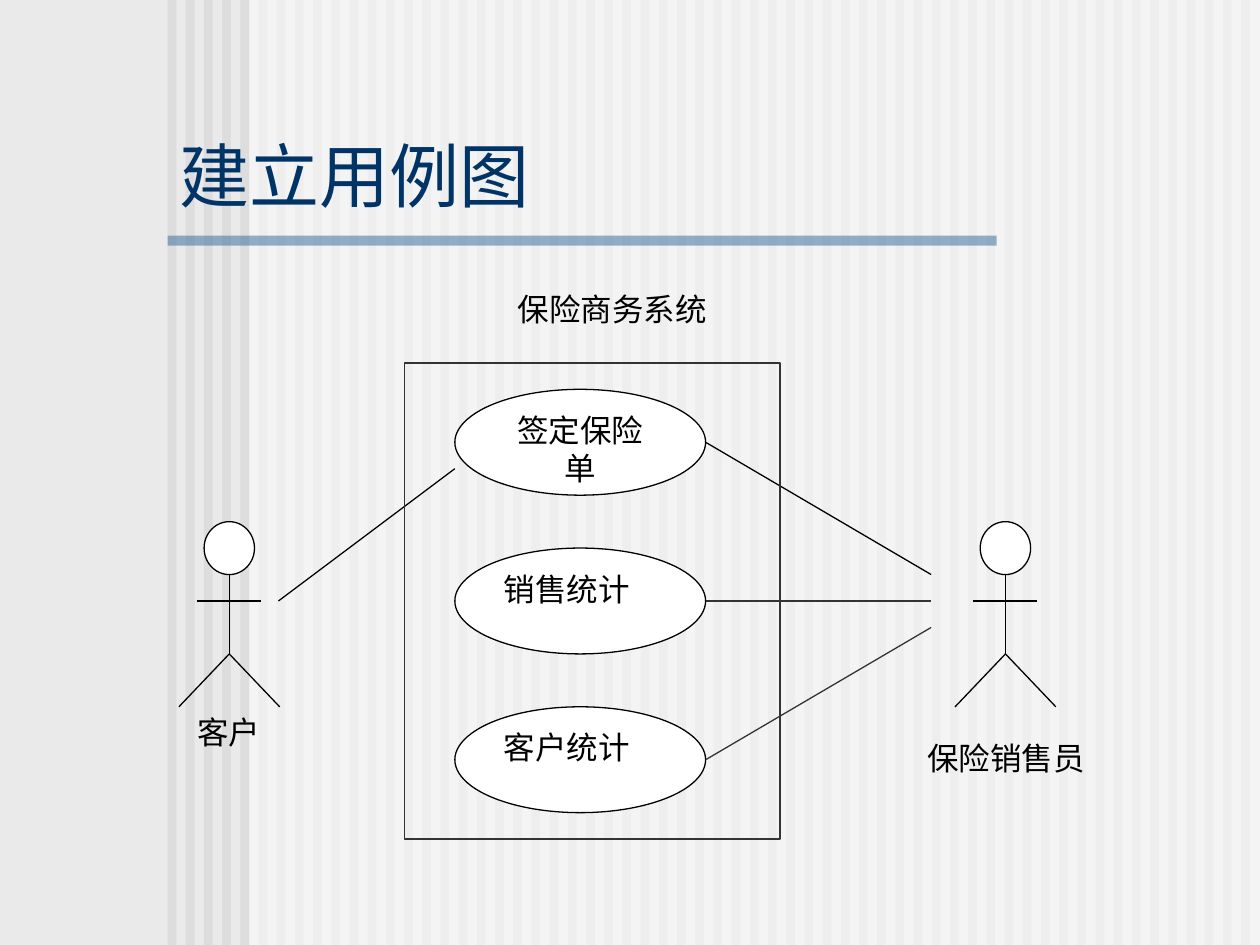
import pptx
import pptx.dml.color
import pptx.enum.shapes
import pptx.enum.text
import pptx.oxml.ns
import pptx.util
from lxml import etree

Inches = pptx.util.Inches
RGBColor = pptx.dml.color.RGBColor
Kind = pptx.enum.shapes.MSO_SHAPE
Align = pptx.enum.text.PP_ALIGN
Anchor = pptx.enum.text.MSO_ANCHOR
qn = pptx.oxml.ns.qn

BLACK = RGBColor(0x00, 0x00, 0x00)
WHITE = RGBColor(0xFF, 0xFF, 0xFF)
GREY = RGBColor(0x33, 0x33, 0x33)
PALE = RGBColor(0xEA, 0xEA, 0xEA)
STRIPE = RGBColor(0xDD, 0xDD, 0xDD)
BLUE = RGBColor(0x33, 0x66, 0x99)
NAVY = RGBColor(0x00, 0x33, 0x66)

TITLE = "建立用例图"
SYSTEM = "保险商务系统"
FRAME = (3.21, 2.88, 2.98, 3.78)
CASES = [
    ("签定保险单", Align.CENTER),
    ("销售统计", Align.JUSTIFY),
    ("客户统计", Align.JUSTIFY),
]
ACTORS = [  # name, centre, label box
    ("客户", 1.82, (1.22, 5.61, 1.19, 0.63)),
    ("保险销售员", 7.98, (7.19, 5.82, 1.59, 0.63)),
]
LIMBS = [  # offsets from the actor's centre, heights on the slide
    (-0.26, 4.77, 0.25, 4.77),
    (0, 4.56, 0, 5.19),
    (0, 5.19, -0.4, 5.61),
    (0, 5.19, 0.4, 5.61),
]
LINKS = [
    (2.21, 4.77, 3.61, 3.72, BLACK),
    (5.6, 3.51, 7.39, 4.56, BLACK),
    (5.6, 4.77, 7.39, 4.77, GREY),
    (5.6, 6.03, 7.39, 4.98, GREY),
]
STRIPES, FIRST, LAST = 60, 1.33, 9.85

BODY = {"size": pptx.util.Pt(18), "name": "Times New Roman", "bold": False}
HEAD = {"size": pptx.util.Pt(40), "name": "Arial", "bold": False}

deck = pptx.Presentation()
deck.slide_width, deck.slide_height = Inches(10), Inches(7.5)
slide = deck.slides.add_slide(deck.slide_layouts[6])
slide.background.fill.solid()
slide.background.fill.fore_color.rgb = PALE


def draw(kind, box, fill=None, line=None, alpha=None):
    """Add a preset shape; alpha is the fill's opacity in percent."""
    shape = slide.shapes.add_shape(kind, *map(Inches, box))
    shape.shadow.inherit = False
    if fill is None:
        shape.fill.background()
    else:
        shape.fill.solid()
        shape.fill.fore_color.rgb = fill
    if alpha:
        tint = shape.fill._xPr.find(".//" + qn("a:srgbClr"))
        etree.SubElement(tint, qn("a:alpha"), val=str(alpha * 1000))
    if line is None:
        shape.line.fill.background()
    else:
        shape.line.color.rgb = line
        shape.line.width = pptx.util.Pt(0.75)
    return shape


def link(x1, y1, x2, y2, color):
    line = slide.shapes.add_connector(
        pptx.enum.shapes.MSO_CONNECTOR.STRAIGHT, *map(Inches, (x1, y1, x2, y2)))
    line.line.color.rgb = color
    line.line.width = pptx.util.Pt(0.75)
    etree.SubElement(line._element.spPr, qn("a:effectLst"))


def write(shape, text, align, look=BODY, color=BLACK, anchor=Anchor.TOP):
    frame = shape.text_frame
    frame.word_wrap = True
    frame.vertical_anchor = anchor
    par = frame.paragraphs[0]
    par.text = text
    par.alignment = align
    for key, value in look.items():
        setattr(par.runs[0].font, key, value)
    par.runs[0].font.color.rgb = color


def label(box, *args, **style):
    write(slide.shapes.add_textbox(*map(Inches, box)), *args, **style)


step = (LAST - FIRST) / (STRIPES - 1)
for i in range(STRIPES):
    draw(Kind.RECTANGLE, (FIRST + i * step, 0, 0.07, 7.5), STRIPE)
draw(Kind.RECTANGLE, (1.98, 0, 8.02, 7.5), WHITE, alpha=50)
draw(Kind.RECTANGLE, (1.33, 1.87, 6.58, 0.08), BLUE, alpha=50)

label((1.33, 1.08, 7.33, 0.69), TITLE, Align.LEFT,
      look=HEAD, color=NAVY, anchor=Anchor.BOTTOM)
label((4.01, 2.25, 1.79, 0.63), SYSTEM, Align.JUSTIFY)

for i, (text, align) in enumerate(CASES):
    oval = draw(Kind.OVAL, (3.61, 3.09 + i * 1.26, 1.99, 0.84), WHITE, BLACK)
    write(oval, text, align)

for name, mid, box in ACTORS:
    draw(Kind.OVAL, (mid - 0.2, 4.14, 0.4, 0.42), WHITE, BLACK)
    for x1, y1, x2, y2 in LIMBS:
        link(mid + x1, y1, mid + x2, y2, BLACK)
    label(box, name, Align.CENTER)

for ends in LINKS:
    link(*ends)
draw(Kind.RECTANGLE, FRAME, line=GREY)

deck.save("out.pptx")
